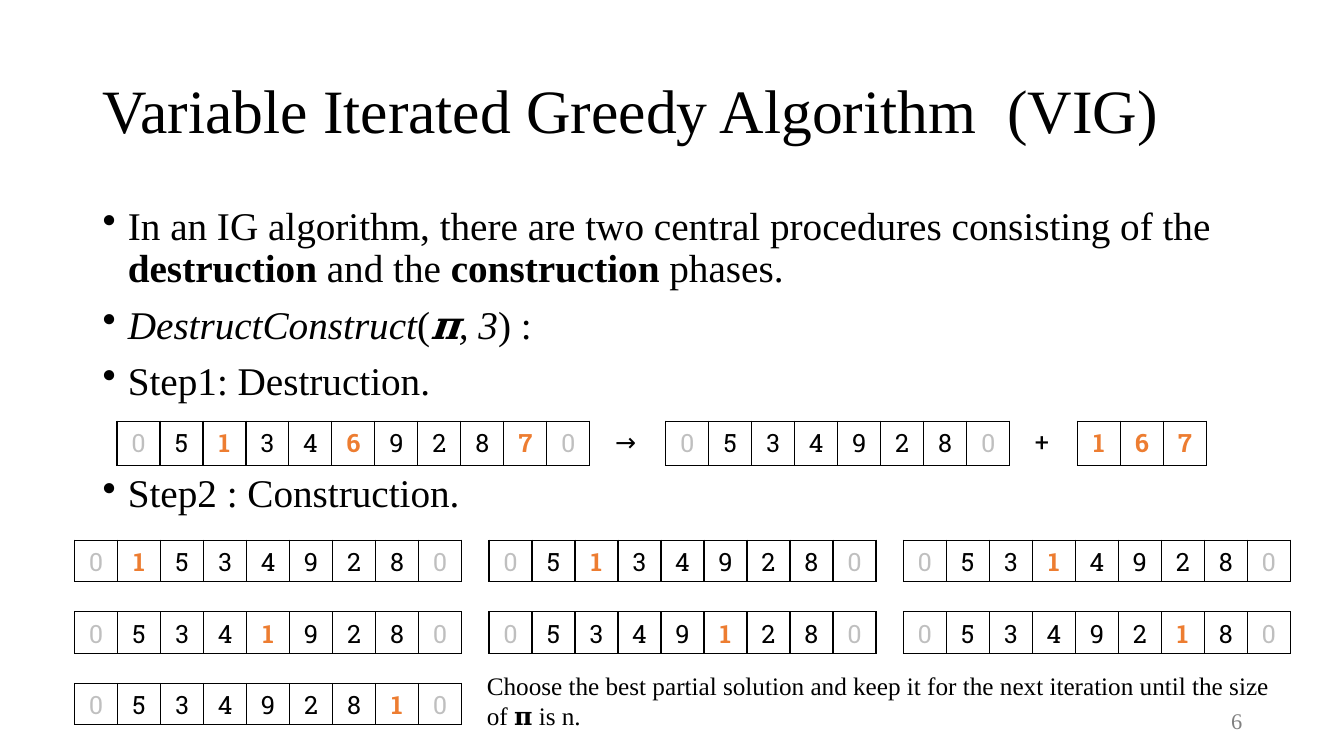
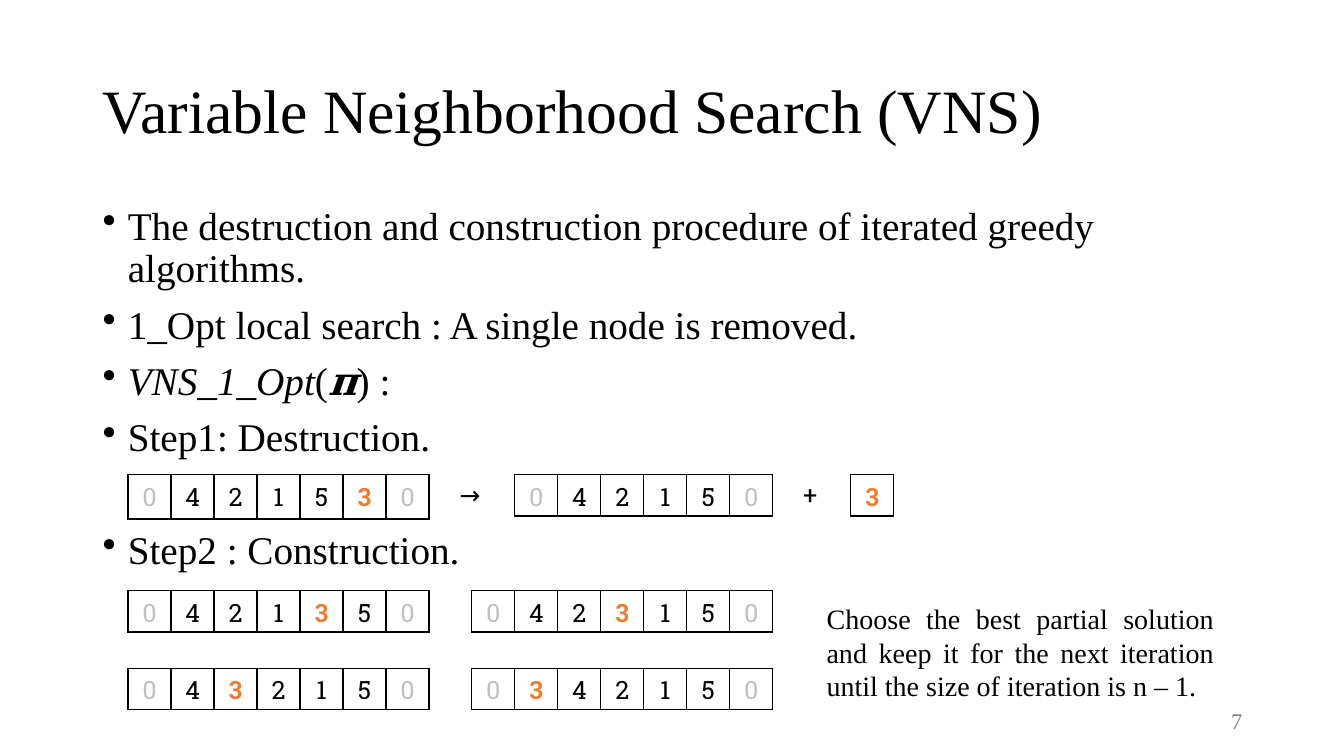
"""Build two slides on iterated greedy destruction and construction."""
from lxml import etree
from pptx import Presentation
from pptx.dml.color import RGBColor
from pptx.enum.text import MSO_ANCHOR, PP_ALIGN
from pptx.oxml.ns import qn
from pptx.util import Inches, Pt

LEFT, CENTER, RIGHT, JUSTIFY = PP_ALIGN.LEFT, PP_ALIGN.CENTER, PP_ALIGN.RIGHT, PP_ALIGN.JUSTIFY
TOP, MIDDLE = MSO_ANCHOR.TOP, MSO_ANCHOR.MIDDLE
COLORS = {"text": "000000", "depot": "BFBFBF", "removed": "ED7D31", "number": "808080"}
SERIF, SLAB = "Times New Roman", "Roboto Slab"
NODE_W = Inches(2.56) // 6
ROW_H, TALL_ROW_H = 0.41, 0.44
ARROW_W, PLUS_W, SYMBOL_H = 0.45, 0.37, 0.4
PLAIN, BOLD, ITALIC = {}, {"bold": True}, {"italic": True}
STEP_1 = [("Step1: Destruction.", PLAIN)]
STEP_2 = [("Step2 : Construction.", PLAIN)]

SLIDES = [
    {
        "title": "Variable Iterated Greedy Algorithm  (VIG)",
        "bullets": [
            [("In an IG algorithm, there are two central procedures consisting of the ", PLAIN),
             ("destruction", BOLD), (" and the ", PLAIN), ("construction", BOLD),
             (" phases.", PLAIN)],
            [("DestructConstruct", ITALIC), ("(", PLAIN), ("𝛑, 3", ITALIC), (") :", PLAIN)],
            STEP_1,
            STEP_2,
        ],
        "number": "6",
        "nodes": "513469287",
        "removed": "167",
        "destruction": {"left": 1.16, "top": 4.18, "gap": 0.15,
                        "heights": (TALL_ROW_H, TALL_ROW_H, TALL_ROW_H)},
        "construction": {"left": 0.74, "top": 5.36, "columns": 3, "pitch": (4.11, 0.71),
                         "positions": range(7)},
        "note": "Choose the best partial solution and keep it for the next iteration "
                "until the size of 𝛑 is n.",
        "note_box": (4.73, 6.6, 8.04, 0.71),
        "note_format": {"size": 18, "align": LEFT},
    },
    {
        "title": "Variable Neighborhood Search (VNS)",
        "bullets": [
            [("The destruction and construction procedure of iterated greedy algorithms.", PLAIN)],
            [("1_Opt local search : A single node is removed.", PLAIN)],
            [("VNS_1_Opt", ITALIC), ("(", PLAIN), ("𝛑", ITALIC), (") :", PLAIN)],
            STEP_1,
            STEP_2,
        ],
        "number": "7",
        "nodes": "42153",
        "removed": "3",
        "destruction": {"left": 1.27, "top": 4.71, "gap": 0.2,
                        "heights": (TALL_ROW_H, ROW_H, ROW_H)},
        "construction": {"left": 1.27, "top": 5.86, "columns": 2, "pitch": (3.41, 0.77),
                         "positions": range(3, -1, -1)},
        "note": "Choose the best partial solution and keep it for the next iteration "
                "until the size of iteration is n – 1.",
        "note_box": (8.1, 5.92, 4.04, 1.11),
        "note_format": {"size": 20, "align": JUSTIFY},
    },
]


def style_run(run, size, font=SERIF, color="text", **formats):
    run.font.size = Pt(size)
    run.font.name = font
    run.font.color.rgb = RGBColor.from_string(COLORS[color])
    for attribute, value in formats.items():
        setattr(run.font, attribute, value)


def add_frame(slide, box, anchor=TOP, wrap=True):
    frame = slide.shapes.add_textbox(*map(Inches, box)).text_frame
    frame.word_wrap = wrap
    frame.vertical_anchor = anchor
    return frame


def add_line(slide, box, text, size, align=LEFT, font=SERIF, color="text",
             anchor=TOP, wrap=True, spacing=1.0):
    paragraph = add_frame(slide, box, anchor, wrap).paragraphs[0]
    paragraph.alignment = align
    paragraph.line_spacing = spacing
    run = paragraph.add_run()
    run.text = text
    style_run(run, size, font, color)


def add_bullets(slide, bullets):
    frame = add_frame(slide, (0.92, 2, 11.5, 4.76))
    for index, runs in enumerate(bullets):
        paragraph = frame.paragraphs[0] if index == 0 else frame.add_paragraph()
        properties = paragraph._p.get_or_add_pPr()
        properties.set("marL", str(Inches(0.25)))
        properties.set("indent", str(-Inches(0.25)))
        etree.SubElement(properties, qn("a:buChar")).set("char", "•")
        paragraph.line_spacing = 0.9
        if index:
            paragraph.space_before = Pt(50 if runs is STEP_2 else 10)
        for text, formats in runs:
            run = paragraph.add_run()
            run.text = text
            style_run(run, 28, **formats)


def add_borders(cell):
    properties = cell._tc.get_or_add_tcPr()
    for side in ("lnL", "lnR", "lnT", "lnB"):
        line = etree.SubElement(properties, qn(f"a:{side}"), w=str(Pt(1)))
        fill = etree.SubElement(line, qn("a:solidFill"))
        etree.SubElement(fill, qn("a:srgbClr"), val=COLORS["text"])


def add_sequence(slide, left, top, nodes, removed, height=ROW_H):
    table = slide.shapes.add_table(1, len(nodes), Inches(left), Inches(top),
                                   NODE_W * len(nodes), Inches(height)).table
    table.first_row = table.horz_banding = False
    for index, node in enumerate(nodes):
        table.columns[index].width = NODE_W
        cell = table.cell(0, index)
        add_borders(cell)
        cell.fill.background()
        paragraph = cell.text_frame.paragraphs[0]
        paragraph.alignment = CENTER
        run = paragraph.add_run()
        run.text = node
        color = "depot" if node == "0" else "removed" if node in removed else "text"
        style_run(run, 18, SLAB, color, bold=color == "removed")


def with_depots(nodes):
    return f"0{nodes}0"


def add_destruction(slide, nodes, rest, removed, left, top, gap, heights):
    sequences = (with_depots(nodes), with_depots(rest), removed)
    symbols = (("→", ARROW_W), ("+", PLUS_W), ("", 0))
    for sequence, (symbol, width), height in zip(sequences, symbols, heights):
        add_sequence(slide, left, top, sequence, removed, height)
        left += (NODE_W * len(sequence)) / Inches(1) + gap
        if symbol:
            add_line(slide, (left, top, width, SYMBOL_H), symbol, 18, font=SLAB, wrap=False)
            left += width + gap


def add_construction(slide, rest, node, left, top, columns, pitch, positions):
    for index, position in enumerate(positions):
        row, column = divmod(index, columns)
        sequence = with_depots(rest[:position] + node + rest[position:])
        add_sequence(slide, left + column * pitch[0], top + row * pitch[1], sequence, node)


def build_slide(deck, content):
    slide = deck.slides.add_slide(deck.slide_layouts[6])
    nodes, removed = content["nodes"], content["removed"]
    rest = "".join(node for node in nodes if node not in removed)
    add_line(slide, (0.92, 0.4, 11.5, 1.45), content["title"], 44, anchor=MIDDLE, spacing=0.9)
    add_bullets(slide, content["bullets"])
    add_line(slide, (9.42, 6.95, 3, 0.4), content["number"], 16, RIGHT,
             color="number", anchor=MIDDLE)
    add_destruction(slide, nodes, rest, removed, **content["destruction"])
    add_construction(slide, rest, removed[0], **content["construction"])
    add_line(slide, content["note_box"], content["note"], **content["note_format"])


def main():
    deck = Presentation()
    deck.slide_width, deck.slide_height = Inches(13.33), Inches(7.5)
    for content in SLIDES:
        build_slide(deck, content)
    deck.save("out.pptx")


if __name__ == "__main__":
    main()
